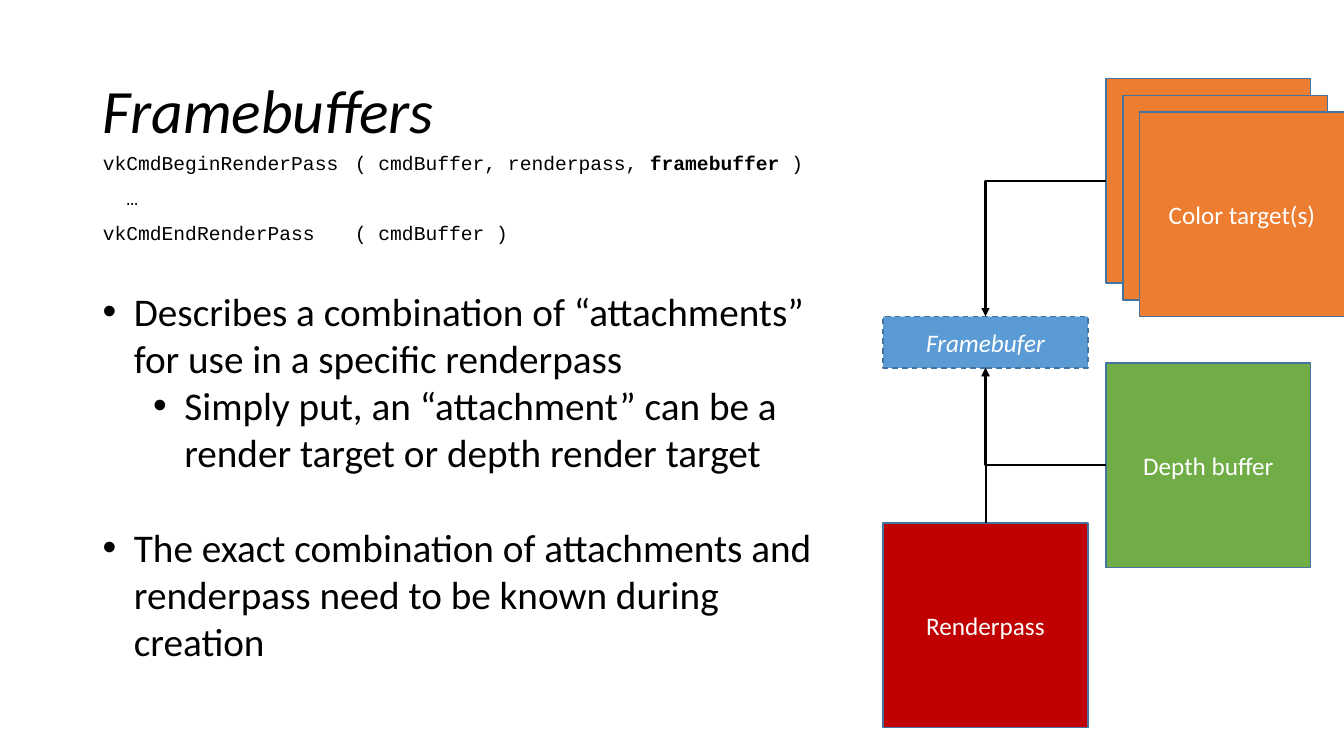
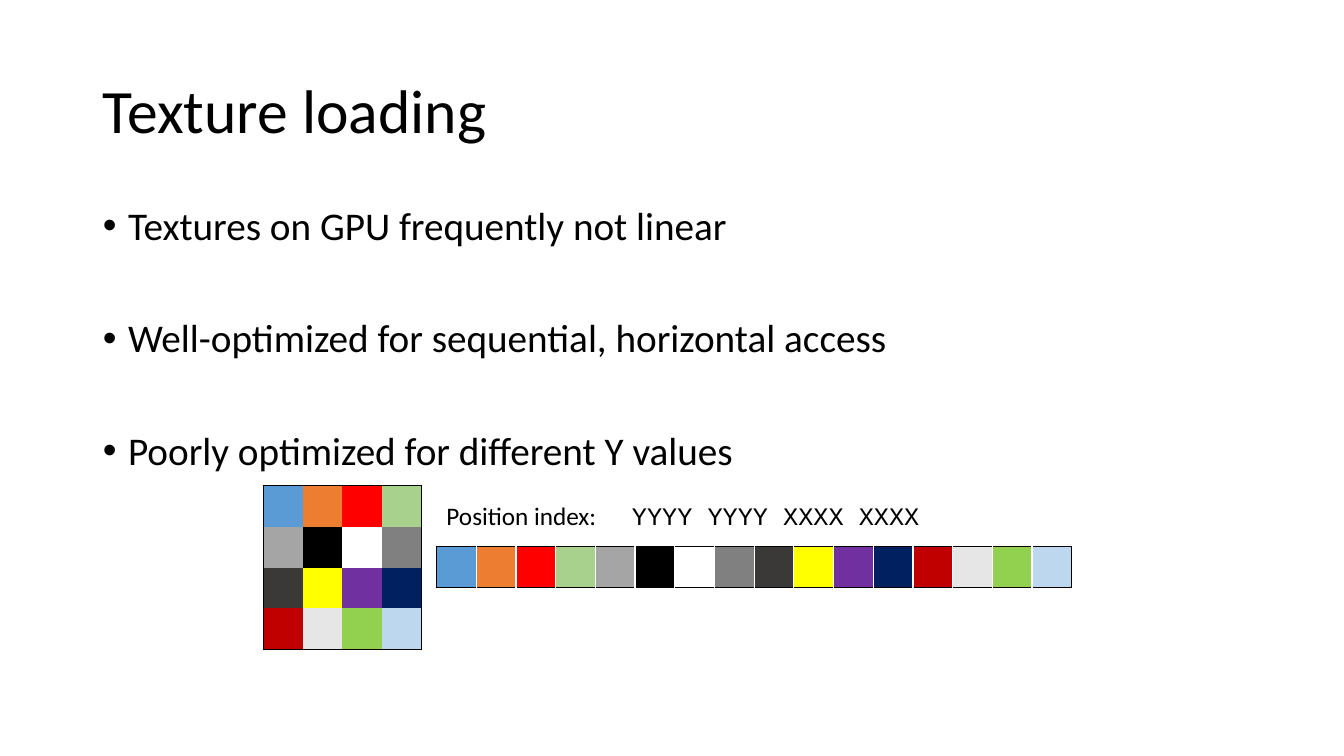
from dataclasses import dataclass
from typing import Any

import lxml.etree
import pptx
import pptx.dml.color
import pptx.enum.dml
import pptx.enum.shapes
import pptx.enum.text
import pptx.oxml.ns
import pptx.util

Inches = pptx.util.Inches
Pt = pptx.util.Pt
qn = pptx.oxml.ns.qn
Align = pptx.enum.text.PP_ALIGN
Anchor = pptx.enum.text.MSO_ANCHOR
Fit = pptx.enum.text.MSO_AUTO_SIZE
Kind = pptx.enum.shapes.MSO_CONNECTOR

HEX = {
    "black": "000000", "white": "FFFFFF", "edge": "43739E",
    "blue": "5B9BD5", "orange": "ED7D31", "red": "FF0000", "mint": "A9D18E",
    "silver": "A5A5A5", "gray": "808080", "coal": "3B3838", "yellow": "FFFF00",
    "purple": "7030A0", "navy": "002060", "crimson": "C00000", "pale": "E7E6E6",
    "lime": "92D050", "sky": "BDD7EE", "green": "70AD47",
}
TEXELS = ["blue", "orange", "red", "mint", "silver", "black", "white", "gray",
          "coal", "yellow", "purple", "navy", "crimson", "pale", "lime", "sky"]
PLAIN_GRID = "{2D5ABB26-0587-4C30-8999-92F81FD0307C}"

TITLE = {"name": "Calibri", "size": Pt(44)}
BODY = {"name": "Calibri", "size": Pt(28)}
LABEL = {"name": "Calibri", "size": Pt(18)}
INDEX = {"name": "Courier New", "size": Pt(18)}
CODE = {"name": "Courier New", "size": Pt(14)}


@dataclass
class Para:
    text: str
    bold: str = ""
    rest: str = ""
    level: int = 0
    gap: float = 0
    left: float = 0
    hang: float = 0
    tab: float = 0
    space: float = 1


@dataclass
class Box:
    left: float
    top: float
    high: float
    fill: str
    text: str = ""
    dash: bool = False


@dataclass
class Grid:
    left: float
    top: float
    width: float
    rows: int
    cols: int
    inner: str = ""


def tint(name: str) -> pptx.dml.color.RGBColor:
    return pptx.dml.color.RGBColor.from_string(HEX[name])


def style(font: Any, look: dict, color: str = "black") -> None:
    for key, value in look.items():
        setattr(font, key, value)
    font.color.rgb = tint(color)


def place(shape: Any, spot: tuple) -> None:
    for key, value in zip(("left", "top", "width", "height"), spot):
        setattr(shape, key, Inches(value))


def write(frame: Any, paras: list[Para], look: dict, color: str = "black") -> None:
    for num, para in enumerate(paras):
        line = frame.add_paragraph() if num else frame.paragraphs[0]
        props = line._p.get_or_add_pPr()
        props.set("marL", str(Inches(para.left)))
        props.set("indent", str(-Inches(para.hang)))
        if para.hang:
            lxml.etree.SubElement(props, qn("a:buFont")).set("typeface", "Arial")
            lxml.etree.SubElement(props, qn("a:buChar")).set("char", "•")
        else:
            lxml.etree.SubElement(props, qn("a:buNone"))
        if para.tab:
            stops = lxml.etree.SubElement(props, qn("a:tabLst"))
            stop = lxml.etree.SubElement(stops, qn("a:tab"))
            stop.set("pos", str(Inches(para.tab)))
            stop.set("algn", "l")
        line.level = para.level
        line.alignment = Align.LEFT
        line.line_spacing = para.space
        line.space_before = Pt(para.gap)
        for text, bold in ((para.text, False), (para.bold, True), (para.rest, False)):
            if text:
                run = line.add_run()
                run.text = text
                style(run.font, {**look, "bold": bold}, color)


def add_page(deck: Any, title: str, spot: tuple, paras: list[Para],
             look: dict, slant: bool = False) -> Any:
    page = deck.slides.add_slide(deck.slide_layouts[1])
    body = page.placeholders[1]
    place(page.shapes.title, (0.92, 0.4, 11.5, 1.45))
    place(body, spot)
    for shape, anchor in ((page.shapes.title, Anchor.MIDDLE), (body, Anchor.TOP)):
        frame = shape.text_frame
        frame.auto_size = Fit.NONE
        frame.word_wrap = True
        frame.vertical_anchor = anchor
    write(page.shapes.title.text_frame, [Para(title, space=0.9)],
          {**TITLE, "italic": slant})
    write(body.text_frame, paras, look)
    return page


def add_text(page: Any, spot: tuple, paras: list[Para], look: dict,
             wrap: bool = False) -> None:
    shape = page.shapes.add_textbox(*map(Inches, spot))
    shape.text_frame.word_wrap = wrap
    write(shape.text_frame, paras, look)


def add_box(page: Any, box: Box) -> Any:
    shape = page.shapes.add_shape(
        pptx.enum.shapes.MSO_SHAPE.RECTANGLE,
        *map(Inches, (box.left, box.top, 2.03, box.high)))
    shape.shadow.inherit = False
    shape.fill.solid()
    shape.fill.fore_color.rgb = tint(box.fill)
    shape.line.color.rgb = tint("edge")
    shape.line.width = Pt(1)
    if box.dash:
        shape.line.dash_style = pptx.enum.dml.MSO_LINE.DASH
    if box.text:
        frame = shape.text_frame
        frame.vertical_anchor = Anchor.MIDDLE
        write(frame, [Para(box.text)], {**LABEL, "italic": box.dash}, "white")
        frame.paragraphs[0].alignment = Align.CENTER
    return shape


def add_link(page: Any, start: Any, begin: int, end: Any, site: int) -> None:
    """Join two sites of boxes, counted 0 top, 1 left, 2 bottom, 3 right."""
    bent = begin == 1
    link = page.shapes.add_connector(Kind.ELBOW if bent else Kind.STRAIGHT, 0, 0, 0, 0)
    link.begin_connect(start, begin)
    link.end_connect(end, site)
    link.line.color.rgb = tint("black")
    link.line.width = Pt(1.5)
    props = link._element.spPr
    if bent:
        props.find(qn("a:prstGeom")).set("prst", "bentConnector2")
    tail = lxml.etree.SubElement(props.find(qn("a:ln")), qn("a:tailEnd"))
    tail.set("type", "triangle")
    lxml.etree.SubElement(props, qn("a:effectLst"))


def add_edge(cell: Any, side: str, color: str) -> None:
    line = lxml.etree.SubElement(cell._tc.get_or_add_tcPr(), qn("a:ln" + side))
    if not color:
        line.set("w", "0")
        lxml.etree.SubElement(line, qn("a:noFill"))
        return
    line.set("w", str(Pt(1)))
    fill = lxml.etree.SubElement(line, qn("a:solidFill"))
    lxml.etree.SubElement(fill, qn("a:srgbClr")).set("val", HEX[color])


def add_grid(page: Any, grid: Grid) -> None:
    """Lay the texels out row by row inside a black frame."""
    shape = page.shapes.add_table(
        grid.rows, grid.cols,
        *map(Inches, (grid.left, grid.top, grid.width, 0.4 * grid.rows)))
    table = shape.table
    table.first_row = table.horz_banding = False
    table._tbl.tblPr.find(qn("a:tableStyleId")).text = PLAIN_GRID
    for col in table.columns:
        col.width = Inches(grid.width / grid.cols)
    for num, name in enumerate(TEXELS):
        row, col = divmod(num, grid.cols)
        cell = table.cell(row, col)
        rims = {"L": col == 0, "R": col == grid.cols - 1,
                "T": row == 0, "B": row == grid.rows - 1}
        for side, outer in rims.items():
            add_edge(cell, side, "black" if outer else grid.inner)
        cell.fill.solid()
        cell.fill.fore_color.rgb = tint(name)


def draw_frames(deck: Any) -> None:
    row = {"tab": 3.03, "space": 0.9}
    code = [
        Para("vkCmdBeginRenderPass\t( cmdBuffer, renderpass, ", "framebuffer", " )", **row),
        Para("  …", gap=10, **row),
        Para("vkCmdEndRenderPass\t( cmdBuffer )", gap=10, **row),
    ]
    page = add_page(deck, "Framebuffers", (0.92, 1.47, 8.58, 1.07), code, CODE, True)
    for step in range(3):
        shift = step / 6
        shape = add_box(page, Box(10.97 + shift, 0.78 + shift, 2.03, "orange",
                                  "Color target(s)" if step == 2 else ""))
        if step == 0:
            color = shape
    depth = add_box(page, Box(10.97, 3.6, 2.03, "green", "Depth buffer"))
    render = add_box(page, Box(8.76, 5.19, 2.03, "crimson", "Renderpass"))
    add_text(page, (0.92, 2.8, 7.32, 3.87), [
        Para("Describes a combination of “attachments” for use in a specific renderpass",
             left=0.31, hang=0.31),
        Para("Simply put, an “attachment” can be a render target or depth render target",
             level=1, left=0.81, hang=0.31),
        Para("The exact combination of attachments and renderpass need to be known "
             "during creation", left=0.31, hang=0.31, gap=34),
    ], BODY, True)
    frame = add_box(page, Box(8.76, 3.14, 0.51, "blue", "Framebufer", True))
    for start, begin, site in ((color, 1, 0), (render, 0, 2), (depth, 1, 2)):
        add_link(page, start, begin, frame, site)


def draw_texels(deck: Any) -> None:
    points = ["Textures on GPU frequently not linear",
              "Well-optimized for sequential, horizontal access",
              "Poorly optimized for different Y values"]
    paras = [Para(text, left=0.25, hang=0.25, space=0.9, gap=50 if num else 0)
             for num, text in enumerate(points)]
    page = add_page(deck, "Texture loading", (0.92, 2, 11.62, 2.82), paras, BODY)
    add_grid(page, Grid(2.61, 4.82, 1.57, 4, 4))
    add_grid(page, Grid(4.33, 5.42, 6.3, 1, 16, "white"))
    add_text(page, (4.33, 4.91, 1.71, 0.4), [Para("Position index:")], LABEL)
    add_text(page, (6.17, 4.91, 3.07, 0.4), [Para("YYYY YYYY XXXX XXXX")], INDEX)


def main() -> None:
    deck = pptx.Presentation()
    deck.slide_width = Inches(13.33)
    deck.slide_height = Inches(7.5)
    draw_frames(deck)
    draw_texels(deck)
    deck.save("out.pptx")


if __name__ == "__main__":
    main()
